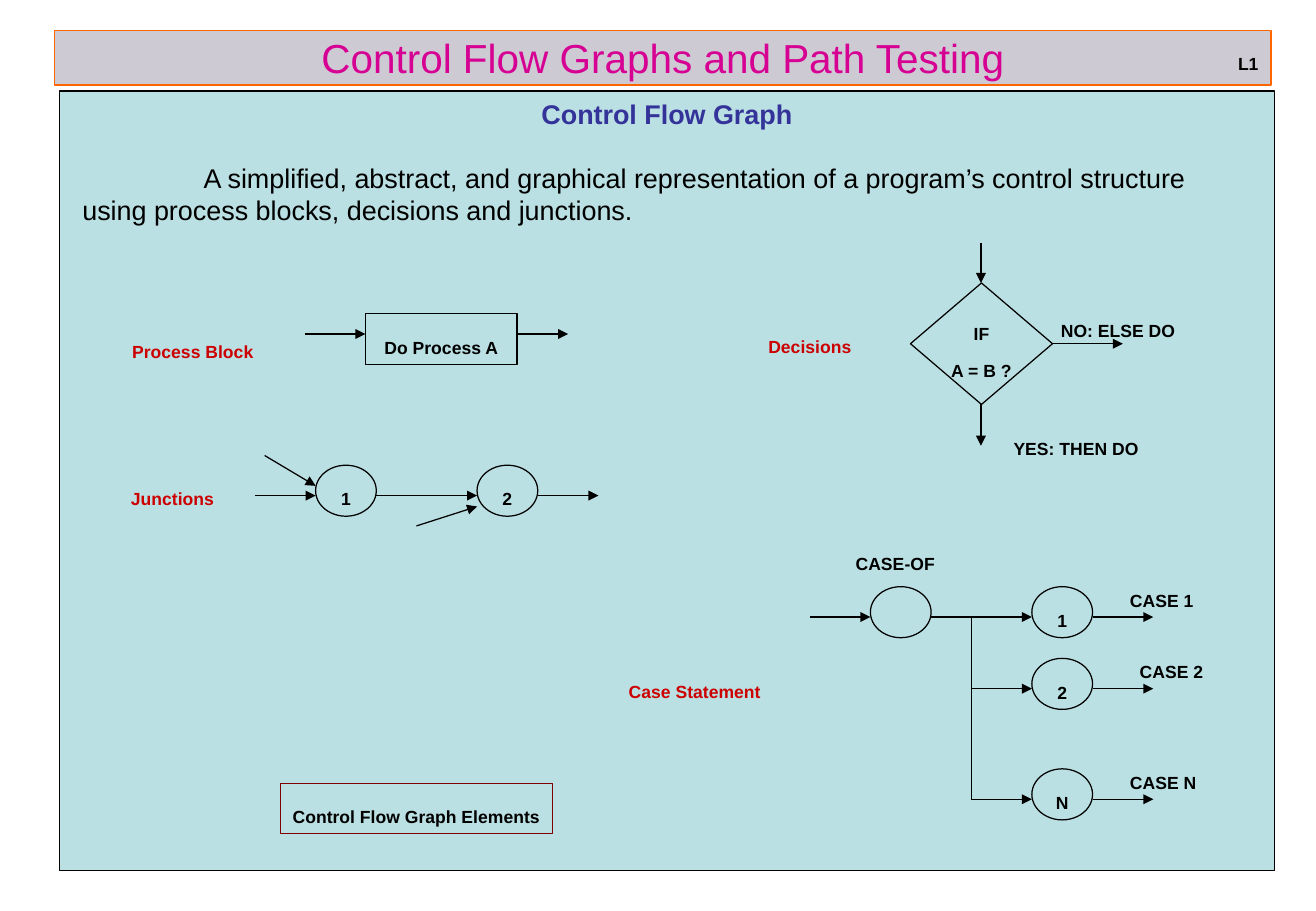
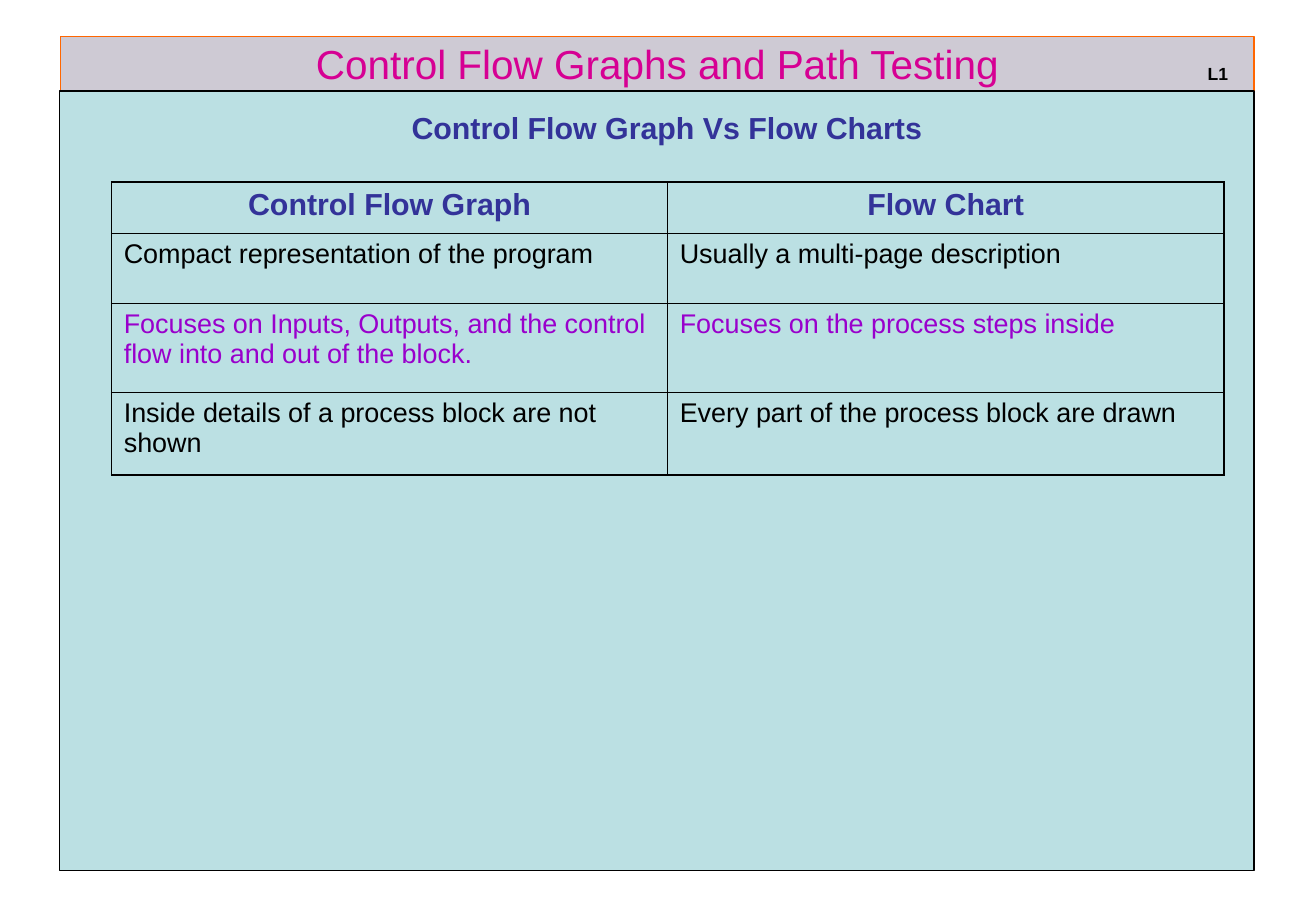
from lxml import etree
from pptx import Presentation
from pptx.dml.color import RGBColor
from pptx.enum.shapes import MSO_CONNECTOR, MSO_SHAPE as Shape
from pptx.enum.text import MSO_ANCHOR as Anchor, MSO_AUTO_SIZE as AutoSize, PP_ALIGN as Align
from pptx.oxml.ns import qn
from pptx.util import Inches, Pt

BLACK, NAVY, MAGENTA, RED = "000000", "333399", "D60093", "CC0000"
PURPLE, MAROON = "9900CC", "800000"
PANEL, BAND, ORANGE = "BBE0E3", "CECAD4", "FF6600"
FONT = "Arial"


def rgb(value):
    return RGBColor.from_string(value)


def write(para, text, size=18, color=BLACK, bold=False, align=Align.LEFT, baseline=0):
    """Add one formatted span to a paragraph."""
    para.alignment = align
    span = para.add_run()
    span.text = text
    font = span.font
    font.name, font.size, font.bold = FONT, Pt(size), bold
    font.color.rgb = rgb(color)
    if baseline:
        span._r.get_or_add_rPr().set("baseline", str(baseline * 1000))


def set_borders(cell, widths):
    """Draw the cell sides; widths are left, right, top, bottom in points."""
    properties = cell._tc.get_or_add_tcPr()
    for side, width in zip("LRTB", widths):
        line = etree.SubElement(properties, qn(f"a:ln{side}"), w=str(Pt(width)))
        fill = etree.SubElement(line, qn("a:solidFill"))
        etree.SubElement(fill, qn("a:srgbClr"), val=BLACK)


class FlowDeck:
    """Holds the deck, its style and the slide being drawn."""

    LABEL = dict(size=18, bold=True, baseline=-12)
    NODE = (0.5, 0.42)

    def __init__(self):
        self.deck = Presentation()
        self.deck.slide_width, self.deck.slide_height = Inches(10.84), Inches(7.5)
        self.page = None

    def new_page(self, title, band, panel_width, tag_at):
        self.page = self.deck.slides.add_slide(self.deck.slide_layouts[5])
        box = self.page.shapes.title
        box.left, box.top, box.width, box.height = map(Inches, band)
        self.paint(box, BAND, ORANGE)
        frame = box.text_frame
        frame.auto_size, frame.vertical_anchor = AutoSize.NONE, Anchor.MIDDLE
        write(frame.paragraphs[0], title, 24, MAGENTA, align=Align.CENTER)
        self.box(Shape.RECTANGLE, 0.49, 0.75, panel_width, 6.42)
        self.label("L1", *tag_at, 0.4)

    def paint(self, box, fill, line):
        box.fill.solid()
        box.fill.fore_color.rgb = rgb(fill)
        box.line.color.rgb = rgb(line)
        box.line.width = Pt(0.75)

    def box(self, kind, left, top, width, height, *lines, line=BLACK):
        box = self.page.shapes.add_shape(kind, *map(Inches, (left, top, width, height)))
        box.shadow.inherit = False
        self.paint(box, PANEL, line)
        frame = box.text_frame
        frame.word_wrap, frame.vertical_anchor = False, Anchor.MIDDLE
        for index, text in enumerate(lines):
            para = frame.add_paragraph() if index else frame.paragraphs[0]
            write(para, text, align=Align.CENTER, **self.LABEL)

    def node(self, left, top, *lines):
        self.box(Shape.OVAL, left, top, *self.NODE, *lines)

    def text_box(self, left, top, width, height, wrap=True):
        frame = self.page.shapes.add_textbox(*map(Inches, (left, top, width, height))).text_frame
        frame.word_wrap, frame.auto_size = wrap, AutoSize.SHAPE_TO_FIT_TEXT
        return frame

    def label(self, text, left, top, width, color=BLACK):
        frame = self.text_box(left, top, width, 0.41, wrap=False)
        write(frame.paragraphs[0], text, color=color, **self.LABEL)

    def heading(self, text, top, height, size):
        frame = self.text_box(0.58, top, 9.83, height)
        write(frame.paragraphs[0], text, size, NAVY, True, Align.CENTER)
        return frame

    def line(self, x1, y1, x2, y2, arrow=True):
        link = self.page.shapes.add_connector(
            MSO_CONNECTOR.STRAIGHT, *map(Inches, (x1, y1, x2, y2)))
        link.line.color.rgb = rgb(BLACK)
        link.line.width = Pt(0.75)
        properties = link._element.spPr
        if arrow:
            etree.SubElement(properties.find(qn("a:ln")), qn("a:tailEnd"), type="triangle")
        etree.SubElement(properties, qn("a:effectLst"))

    def table(self, left, top, column_width, heights, rows, colors):
        columns = len(rows[0])
        table = self.page.shapes.add_table(
            len(rows), columns, Inches(left), Inches(top),
            Inches(column_width * columns), Inches(sum(heights))).table
        table.first_row = table.horz_banding = False
        for column in table.columns:
            column.width = Inches(column_width)
        thick, thin = 1.08, 0.45
        for r, texts in enumerate(rows):
            table.rows[r].height = Inches(heights[r])
            for c, text in enumerate(texts):
                cell = table.cell(r, c)
                outer = (c == 0, c == columns - 1, r == 0, r == len(rows) - 1)
                set_borders(cell, [thick if edge else thin for edge in outer])
                cell.fill.background()
                header = r == 0
                write(cell.text_frame.paragraphs[0], text, 18 if header else 16, colors[r],
                      header, Align.CENTER if header else Align.LEFT)


def draw_elements(flow):
    flow.new_page("Control Flow Graphs and Path Testing", (0.45, 0.25, 10.02, 0.45),
                  10.01, (10.1, 0.25))

    # Definition
    frame = flow.heading("Control Flow Graph", 0.75, 1.44, 16)
    para = frame.add_paragraph()
    properties = para._p.get_or_add_pPr()
    properties.set("indent", str(Inches(1)))
    para.space_before = Pt(19)
    write(para, "A simplified, abstract, and graphical representation of a program’s "
                "control structure using process blocks, decisions and junctions.", 16)

    # Names of the elements
    for text, left, top, width in (
            ("Process Block", 0.99, 2.62, 1.25), ("Decisions", 6.23, 2.58, 0.95),
            ("Junctions", 0.98, 3.83, 0.95), ("Case Statement", 5.08, 5.42, 1.35)):
        flow.label(text, left, top, width, RED)

    # Process block
    flow.box(Shape.RECTANGLE, 3.01, 2.58, 1.25, 0.42, "Do Process A")
    flow.line(2.51, 2.75, 3.01, 2.75)
    flow.line(4.26, 2.75, 4.68, 2.75)

    # Decision
    flow.box(Shape.DIAMOND, 7.5, 2.33, 1.17, 1, "IF", "A = B ?")
    flow.line(8.08, 2, 8.08, 2.33)
    flow.line(8.67, 2.83, 9.25, 2.83)
    flow.line(8.08, 3.33, 8.08, 3.67)
    flow.label("NO: ELSE DO", 8.64, 2.45, 1.25)
    flow.label("YES: THEN DO", 8.25, 3.42, 1.35)

    # Junctions
    flow.node(2.6, 3.83, "1")
    flow.node(3.93, 3.83, "2")
    for start, end in ((2.1, 2.6), (3.1, 3.93), (4.43, 4.93)):
        flow.line(start, 4.08, end, 4.08)
    flow.line(2.18, 3.75, 2.6, 4)
    flow.line(3.43, 4.33, 3.93, 4.17)

    # Case statement
    flow.label("CASE-OF", 6.95, 4.37, 0.9)
    flow.node(7.17, 4.83)
    flow.line(6.67, 5.08, 7.17, 5.08)
    flow.line(8, 5.08, 8, 6.58, arrow=False)
    for name, top, branch, label_left in (
            ("1", 4.83, 7.67, 9.21), ("2", 5.42, 8, 9.29), ("N", 6.33, 8, 9.21)):
        middle = top + 0.25
        flow.node(8.5, top, name)
        flow.line(branch, middle, 8.5, middle)
        flow.line(9, middle, 9.5, middle)
        flow.label(f"CASE {name}", label_left, top - 0.16, 0.8)

    # Caption
    flow.box(Shape.RECTANGLE, 2.31, 6.45, 2.24, 0.41, "Control Flow Graph Elements", line=MAROON)


def draw_comparison(flow):
    flow.new_page("Control Flow Graphs and Path Testing", (0.5, 0.3, 9.83, 0.45),
                  9.84, (9.85, 0.33))
    flow.heading("Control Flow Graph Vs Flow Charts", 0.85, 0.4, 18)
    flow.table(0.92, 1.5, 4.58, (0.42, 0.58, 0.73, 0.68), (
        ("Control Flow Graph", "Flow Chart"),
        ("Compact representation of the program", "Usually a multi-page description"),
        ("Focuses on Inputs, Outputs, and the control flow into and out of the block.",
         "Focuses on the process steps inside"),
        ("Inside details of a process block are not shown",
         "Every part of the process block are drawn"),
    ), (NAVY, BLACK, PURPLE, BLACK))


def main():
    flow = FlowDeck()
    draw_elements(flow)
    draw_comparison(flow)
    flow.deck.save("out.pptx")


if __name__ == "__main__":
    main()
